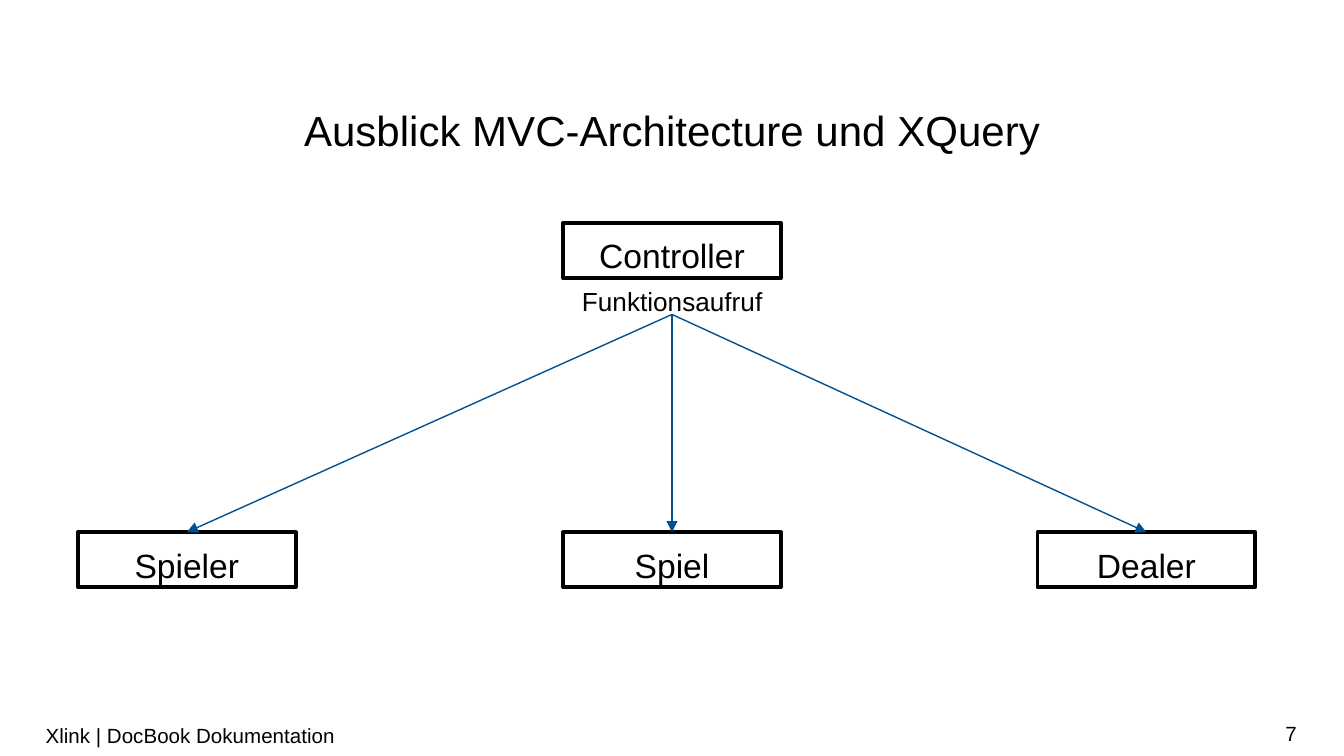
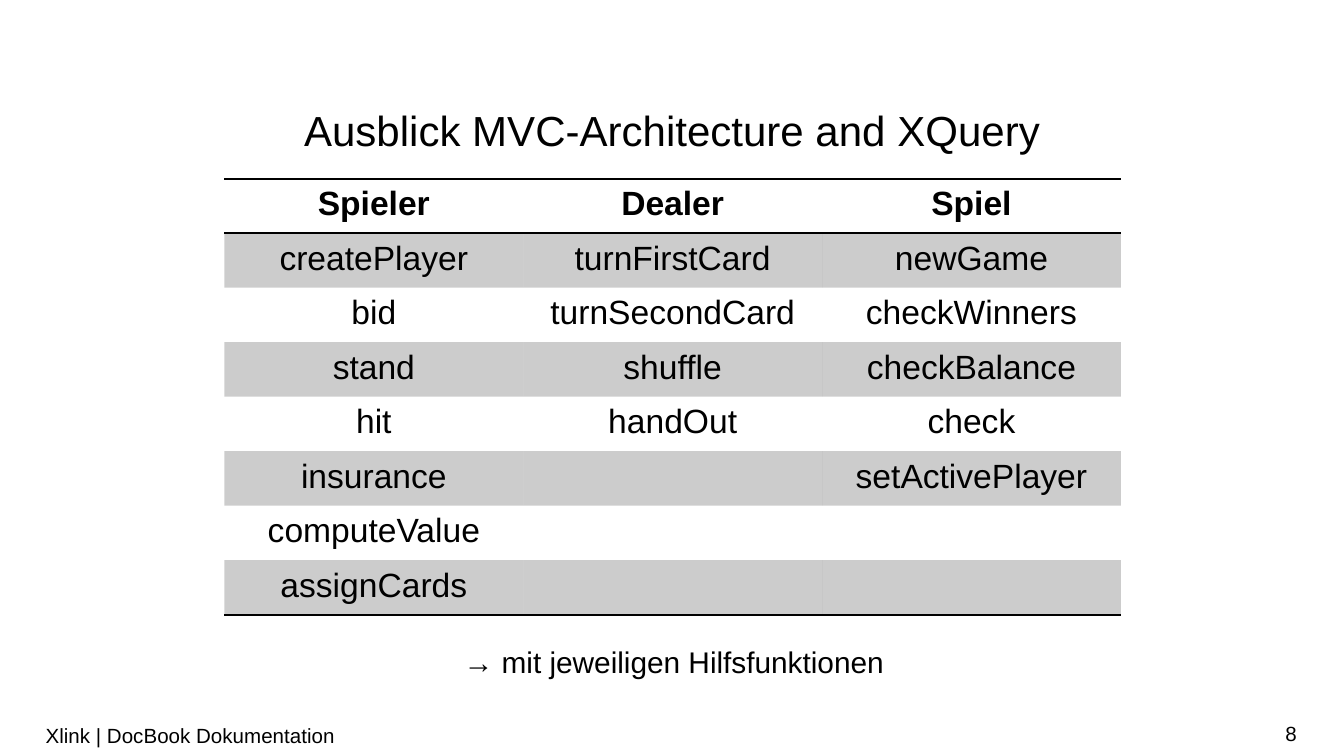
"""Builds two slides on the MVC outlook: a call diagram and a function table."""
from itertools import zip_longest

from lxml.etree import SubElement
from pptx import Presentation
from pptx.dml.color import RGBColor
from pptx.enum.shapes import MSO_CONNECTOR, MSO_SHAPE
from pptx.enum.text import MSO_ANCHOR, PP_ALIGN
from pptx.oxml import parse_xml
from pptx.oxml.ns import nsdecls, qn
from pptx.util import Inches, Pt

BLACK = RGBColor(0x00, 0x00, 0x00)
ARROW_BLUE = RGBColor(0x00, 0x50, 0x90)
FONT = "Arial"
PLAIN_TABLE_STYLE = "{2D5ABB26-0587-4C30-8999-92F81FD0307C}"
LINE_SPACING = 1.14

FIRST_NUMBER = 7
FOOTER = "Xlink | DocBook Dokumentation"
DIAGRAM_TITLE = "Ausblick MVC-Architecture und XQuery"
TABLE_TITLE = "Ausblick MVC-Architecture and XQuery"
CALLER = ("Controller", 5.0)
CALL_LABEL = "Funktionsaufruf"
MODULES = [("Spieler", 1.39), ("Spiel", 5.0), ("Dealer", 8.53)]
FUNCTIONS = {
    "Spieler": ["createPlayer", "bid", "stand", "hit", "insurance",
                "computeValue", "assignCards"],
    "Dealer": ["turnFirstCard", "turnSecondCard", "shuffle", "handOut"],
    "Spiel": ["newGame", "checkWinners", "checkBalance", "check",
              "setActivePlayer"],
}
TABLE_NOTE = "→ mit jeweiligen Hilfsfunktionen"

NODE_WIDTH, NODE_HEIGHT = 1.62, 0.41
CALLER_TOP, MODULE_TOP = 1.66, 3.96
ARROW_START = (5.0, 2.34)
TABLE_AREA = (1.67, 1.33, 6.67, 3.24)
ROW_HEIGHT = Pt(29.2)


def write(frame, text, size, align=PP_ALIGN.LEFT, spacing=None, bold=False):
    paragraph = frame.paragraphs[0]
    paragraph.text = text
    paragraph.alignment = align
    paragraph.line_spacing = spacing
    font = paragraph.font
    font.name, font.size, font.bold = FONT, Pt(size), bold
    font.color.rgb = BLACK


def add_text(page, area, text, size, align=PP_ALIGN.LEFT, spacing=None,
             anchor=MSO_ANCHOR.TOP, inset=0, wrap=True):
    frame = page.shapes.add_textbox(*map(Inches, area)).text_frame
    frame.word_wrap = wrap
    frame.vertical_anchor = anchor
    frame.margin_left = frame.margin_right = 0
    frame.margin_top = frame.margin_bottom = Inches(inset)
    write(frame, text, size, align, spacing)


def add_page(deck, title):
    page = deck.slides.add_slide(deck.slide_layouts[6])
    number = FIRST_NUMBER + len(deck.slides) - 1
    add_text(page, (7.41, 5.31, 2.24, 0.3), str(number), 11, PP_ALIGN.RIGHT,
             anchor=MSO_ANCHOR.MIDDLE, inset=0.05)
    add_text(page, (0.34, 5.31, 8.56, 0.32), FOOTER, 11,
             anchor=MSO_ANCHOR.MIDDLE, inset=0.05)
    add_text(page, (0.35, 0.82, 9.31, 0.34), title, 22.5, PP_ALIGN.CENTER, Pt(24))
    return page


def add_node(page, name, center, top):
    area = (center - NODE_WIDTH / 2, top, NODE_WIDTH, NODE_HEIGHT)
    node = page.shapes.add_shape(MSO_SHAPE.RECTANGLE, *map(Inches, area))
    node.shadow.inherit = False
    node.fill.background()
    node.line.color.rgb = BLACK
    node.line.width = Pt(2)
    node.text_frame.vertical_anchor = MSO_ANCHOR.TOP
    write(node.text_frame, name, 18, PP_ALIGN.CENTER, LINE_SPACING)


def add_arrow(page, start, end):
    arrow = page.shapes.add_connector(MSO_CONNECTOR.STRAIGHT,
                                      *map(Inches, start + end))
    arrow.line.color.rgb = ARROW_BLUE
    arrow.line.width = Pt(0.75)
    SubElement(arrow.line._get_or_add_ln(), qn("a:tailEnd"), type="triangle")
    SubElement(arrow._element.spPr, qn("a:effectLst"))


def add_border(cell, side):
    cell._tc.get_or_add_tcPr().insert(0, parse_xml(
        f'<a:{side} {nsdecls("a")} w="{Pt(1)}"><a:solidFill>'
        f'<a:srgbClr val="{BLACK}"/></a:solidFill></a:{side}>'))


def shade(cell):
    cell.fill.solid()
    cell.fill.fore_color.rgb = BLACK
    color = cell._tc.tcPr.find(f'{qn("a:solidFill")}/{qn("a:srgbClr")}')
    SubElement(color, qn("a:alpha"), val="20000")


def add_function_table(page):
    rows = [tuple(FUNCTIONS), *zip_longest(*FUNCTIONS.values(), fillvalue="")]
    frame = page.shapes.add_table(len(rows), len(FUNCTIONS),
                                  *map(Inches, TABLE_AREA))
    table = frame.table
    table.horz_banding = table.first_row = False
    table._tbl.tblPr.find(qn("a:tableStyleId")).text = PLAIN_TABLE_STYLE
    for row_index, names in enumerate(rows):
        table.rows[row_index].height = ROW_HEIGHT
        for column_index, name in enumerate(names):
            cell = table.cell(row_index, column_index)
            write(cell.text_frame, name, 18, PP_ALIGN.CENTER, bold=row_index == 0)
            if row_index % 2:
                shade(cell)
            else:
                cell.fill.background()
            if row_index in (0, len(rows) - 1):
                add_border(cell, "lnB")
            if row_index == 0:
                add_border(cell, "lnT")


def build_diagram(deck):
    page = add_page(deck, DIAGRAM_TITLE)
    add_node(page, *CALLER, CALLER_TOP)
    add_text(page, (4.33, 2.09, 1.35, 0.25), CALL_LABEL, 14,
             spacing=LINE_SPACING, wrap=False)
    for name, center in MODULES:
        add_node(page, name, center, MODULE_TOP)
    for _, center in MODULES:
        add_arrow(page, ARROW_START, (center, MODULE_TOP))


def build_table(deck):
    page = add_page(deck, TABLE_TITLE)
    add_function_table(page)
    add_text(page, (3.45, 4.75, 3.17, 0.28), TABLE_NOTE, 16,
             spacing=LINE_SPACING, wrap=False)


def main():
    deck = Presentation()
    deck.slide_width = Inches(10)
    deck.slide_height = deck.slide_width * 9 // 16
    build_diagram(deck)
    build_table(deck)
    deck.save("out.pptx")


if __name__ == "__main__":
    main()
